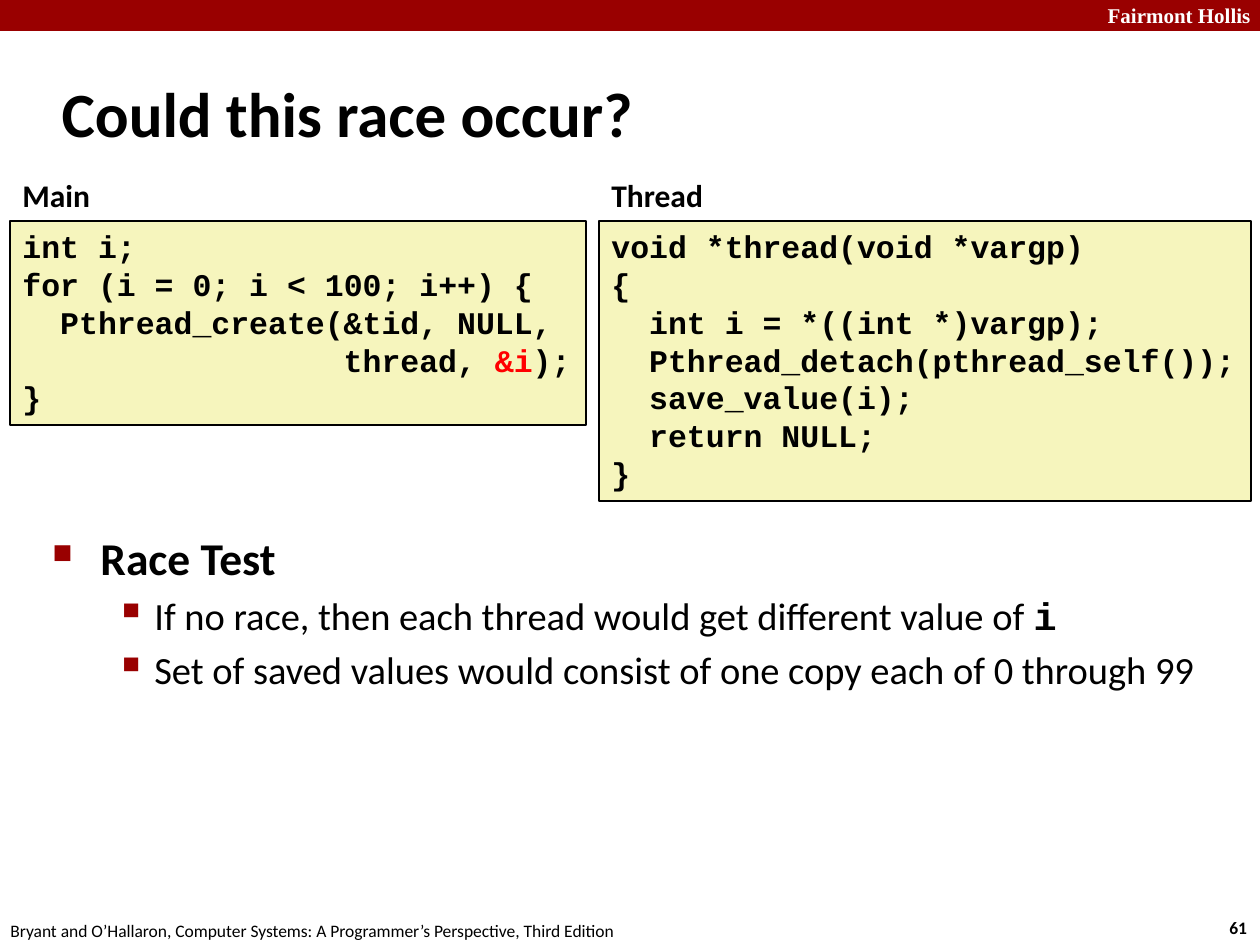
from lxml.etree import SubElement
from pptx import Presentation
from pptx.dml.color import RGBColor
from pptx.enum.shapes import MSO_SHAPE
from pptx.enum.text import MSO_ANCHOR, PP_ALIGN
from pptx.oxml.ns import qn
from pptx.util import Pt

PX = 914400 / 126
BLACK, WHITE, RED = "000000", "FFFFFF", "FF0000"
CRIMSON, CREAM = "990000", "F6F5BD"
SANS, MONO, SERIF = "Calibri", "Courier New", "Times New Roman"
CODE_SIZE = 18
CODE_COLUMN = Pt(CODE_SIZE * 0.6)  # advance of one monospaced character

# Heading, left, width, height, and lines as (indent in characters, text)
LISTINGS = [
    ("Main", 10, 576, 204, [
        (0, "int i;"),
        (0, "for (i = 0; i < 100; i++) {"),
        (2, "Pthread_create(&tid, NULL,"),
        (17, "thread, &i);"),
        (0, "}"),
    ]),
    ("Thread", 599, 652, 280, [
        (0, "void *thread(void *vargp)"),
        (0, "{"),
        (2, "int i = *((int *)vargp);"),
        (2, "Pthread_detach(pthread_self());"),
        (2, "save_value(i);"),
        (2, "return NULL;"),
        (0, "}"),
    ]),
]


def px(n):
    return round(n * PX)


def rgb(code):
    return RGBColor.from_string(code)


def add_run(p, text, size=18, font=SANS, color=BLACK, bold=False):
    r = p.add_run()
    r.text = text
    r.font.size = Pt(size)
    r.font.name = font
    r.font.bold = bold
    r.font.color.rgb = rgb(color)


def place(sp, left, top, width, height):
    sp.left, sp.top, sp.width, sp.height = map(px, (left, top, width, height))


def add_box(s, left, top, width, height, wrap=False):
    sp = s.shapes.add_textbox(*map(px, (left, top, width, height)))
    sp.text_frame.word_wrap = wrap
    return sp.text_frame


def add_label(s, text, left, top, width, height, align=PP_ALIGN.LEFT, **fmt):
    p = add_box(s, left, top, width, height, wrap=True).paragraphs[0]
    p.alignment = align
    add_run(p, text, **fmt)


def add_rect(s, left, top, width, height, fill, line=None):
    sp = s.shapes.add_shape(MSO_SHAPE.RECTANGLE,
                            *map(px, (left, top, width, height)))
    sp.shadow.inherit = False
    sp.fill.solid()
    sp.fill.fore_color.rgb = rgb(fill)
    if line:
        sp.line.color.rgb = rgb(line)
        sp.line.width = Pt(1)
    else:
        sp.line.fill.background()
    return sp


def next_paragraph(tf, first):
    return tf.paragraphs[0] if first else tf.add_paragraph()


def add_listing(s, heading, left, width, height, lines):
    add_label(s, heading, left, 170, 130, 50, bold=True)
    tf = add_rect(s, left, 221, width, height, CREAM, BLACK).text_frame
    tf.word_wrap = False
    tf.vertical_anchor = MSO_ANCHOR.TOP
    for n, (indent, text) in enumerate(lines):
        p = next_paragraph(tf, n == 0)
        p.alignment = PP_ALIGN.LEFT
        p._p.get_or_add_pPr().set("marL", str(indent * CODE_COLUMN))
        # The racy argument stands out
        before, mark, after = text.partition("&i)")
        parts = [(before, BLACK)]
        if mark:
            parts += [("&i", RED), (")" + after, BLACK)]
        for part, color in parts:
            add_run(p, part, CODE_SIZE, MONO, color, bold=True)


def add_bullet(tf, level, runs, size, first=False):
    margin, hang, char, percent = [(48, 48, "■", 60), (102, 39, "▪", 110)][level]
    p = next_paragraph(tf, first)
    p.level = level
    p.space_before = Pt(size * 0.2)
    pPr = p._p.get_or_add_pPr()
    pPr.set("marL", str(px(margin)))
    pPr.set("indent", str(-px(hang)))
    SubElement(SubElement(pPr, qn("a:buClr")), qn("a:srgbClr"), val=CRIMSON)
    SubElement(pPr, qn("a:buSzPct"), val=str(percent * 1000))
    SubElement(pPr, qn("a:buChar"), char=char)
    for text, fmt in runs:
        add_run(p, text, size, **fmt)


def main():
    prs = Presentation()
    prs.slide_width, prs.slide_height = px(1260), px(945)
    s = prs.slides.add_slide(prs.slide_layouts[5])

    # Banner and footer
    add_rect(s, 0, 0, 1260, 31, CRIMSON)
    add_label(s, "Fairmont Hollis", 1063, -4, 200, 38, PP_ALIGN.RIGHT,
              size=12, font=SERIF, color=WHITE, bold=True)
    add_label(s, "61", 1217, 911, 47, 34, size=10, bold=True)
    add_label(s, "Bryant and O’Hallaron, Computer Systems: "
              "A Programmer’s Perspective, Third Edition",
              -2, 914, 660, 34, size=10)

    # Title
    title = s.shapes.title
    place(title, 49, 60, 1046, 105)
    title.text_frame.vertical_anchor = MSO_ANCHOR.MIDDLE
    p = title.text_frame.paragraphs[0]
    p.alignment = PP_ALIGN.LEFT
    add_run(p, "Could this race occur?", 36, bold=True)

    # Code of both sides
    for listing in LISTINGS:
        add_listing(s, *listing)

    # Race test
    tf = add_box(s, 40, 524, 1178, 181, wrap=True)
    add_bullet(tf, 0, [("Race Test", {"bold": True})], 26, first=True)
    add_bullet(tf, 1, [
        ("If no race, then each thread would get different value of ", {}),
        ("i", {"font": MONO, "bold": True}),
    ], 22)
    add_bullet(tf, 1, [
        ("Set of saved values would consist of one copy each of 0 through 99", {}),
    ], 22)

    prs.save("out.pptx")


if __name__ == "__main__":
    main()
